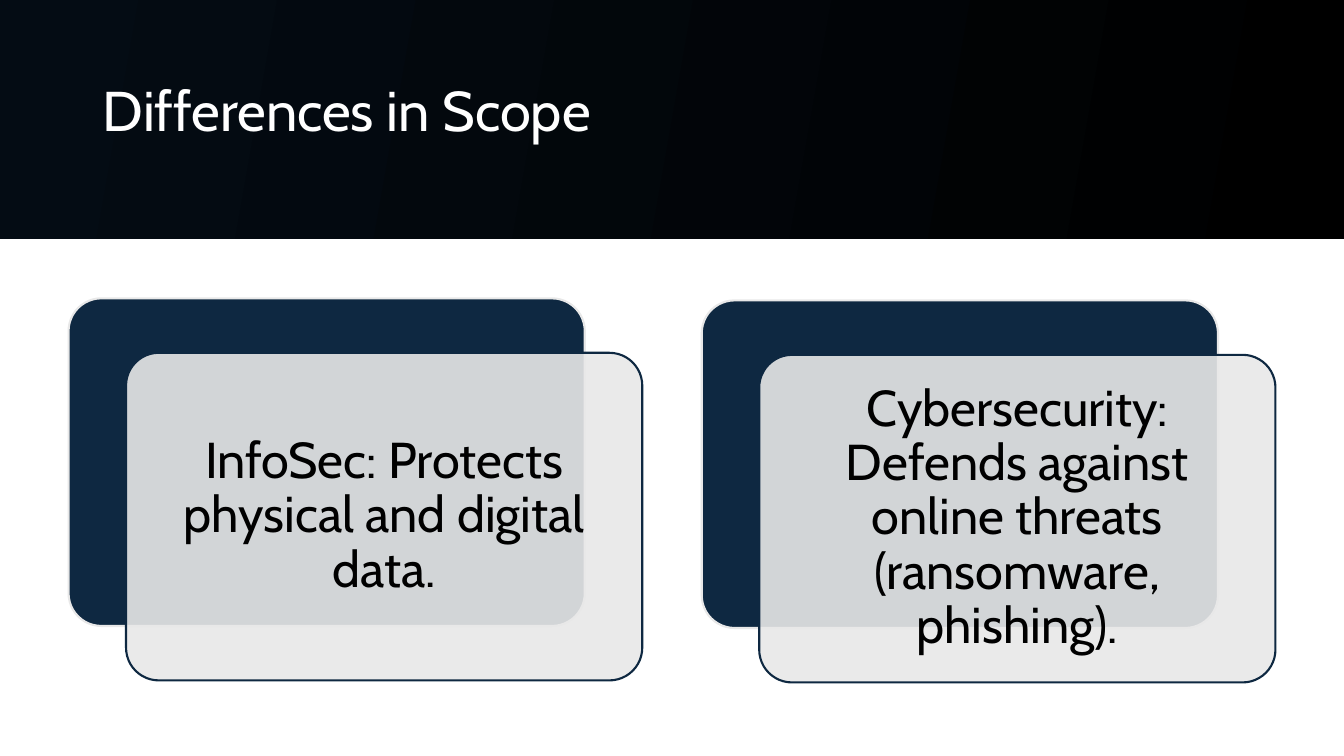
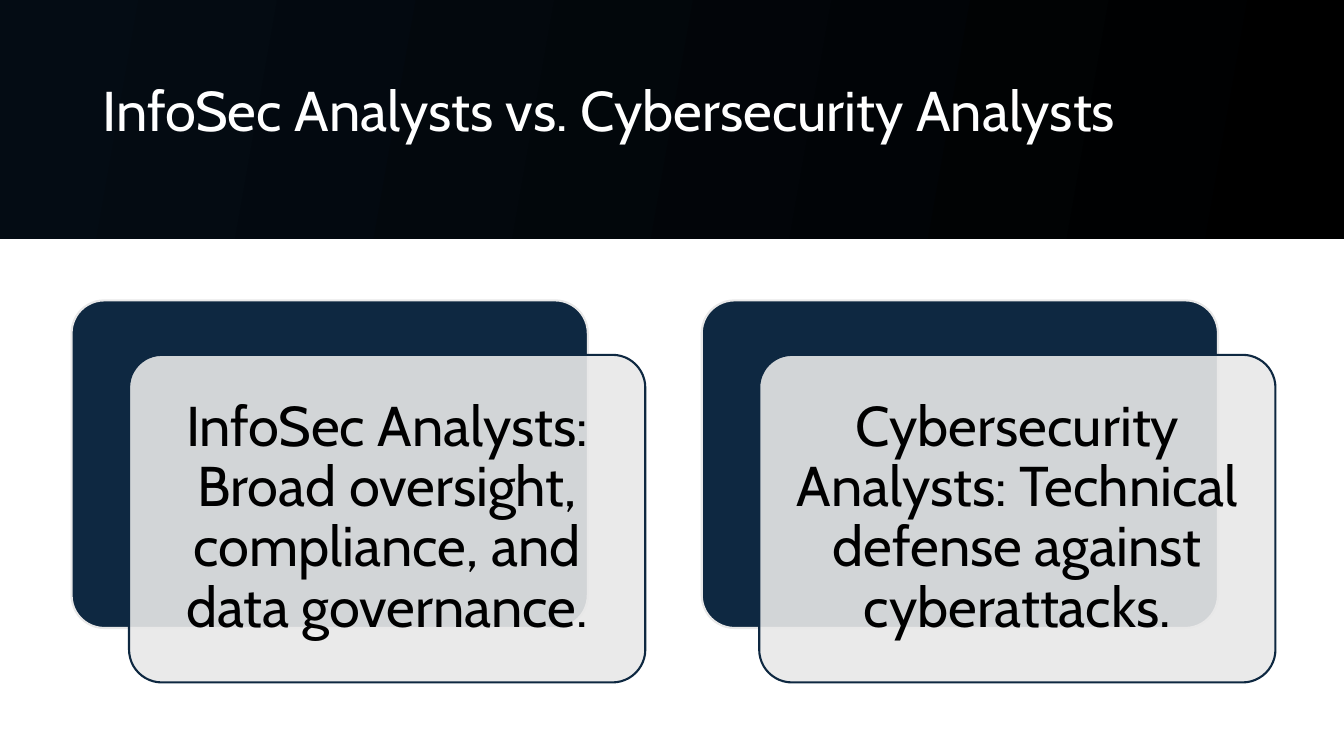
from lxml import etree
from pptx import Presentation
from pptx.dml.color import RGBColor
from pptx.enum.shapes import MSO_SHAPE
from pptx.enum.text import MSO_ANCHOR, MSO_AUTO_SIZE, PP_ALIGN
from pptx.oxml.ns import qn
from pptx.util import Inches, Pt

RECTANGLE = MSO_SHAPE.RECTANGLE
ROUNDED = MSO_SHAPE.ROUNDED_RECTANGLE
MIDDLE = MSO_ANCHOR.MIDDLE
NO_AUTOFIT = MSO_AUTO_SIZE.NONE
LEFT, CENTER = PP_ALIGN.LEFT, PP_ALIGN.CENTER

FONT = "Cabin"
NAVY, PALE, WHITE, BLACK = "0E2841", "E8E8E8", "FFFFFF", "000000"
BAND_LEFT, BAND_RIGHT = "040C14", "000000"

SLIDE_W, SLIDE_H, BAND_H = 13.33, 7.5, 2.37
CARD_W, CARD_H = 5.12, 3.25
OFFSET_X, OFFSET_Y = 0.57, 0.54
CORNER = 0.1
LINE_SPACING = 0.9
FRONT_ALPHA = 90

# Each card is its text and the left and top of its back panel, in inches.
SLIDES = [
    {
        "title": "Differences in Scope",
        "size": 36, "inset": 0.15, "space_after": 15,
        "cards": [
            ("InfoSec: Protects physical and digital data.", 0.68, 2.96),
            ("Cybersecurity: Defends against online threats "
             "(ransomware, phishing).", 6.96, 2.98),
        ],
    },
    {
        "title": "InfoSec Analysts vs. Cybersecurity Analysts",
        "size": 40, "inset": 0.17, "space_after": 17,
        "cards": [
            ("InfoSec Analysts: Broad oversight, compliance, and "
             "data governance.", 0.71, 2.98),
            ("Cybersecurity Analysts: Technical defense against "
             "cyberattacks.", 6.96, 2.98),
        ],
    },
]


def rgb(value):
    return RGBColor.from_string(value)


def write(frame, text, size, color, align):
    frame.text = text
    frame.word_wrap = True
    frame.auto_size = NO_AUTOFIT
    frame.vertical_anchor = MIDDLE
    paragraph = frame.paragraphs[0]
    paragraph.alignment = align
    paragraph.line_spacing = LINE_SPACING
    font = paragraph.runs[0].font
    font.name, font.size, font.color.rgb = FONT, Pt(size), rgb(color)
    return paragraph


def add_header(slide, text):
    """Fill the title and set the dark band behind it."""
    title = slide.shapes.title
    title.left, title.top = Inches(0.92), Inches(0.4)
    title.width, title.height = Inches(11.5), Inches(1.45)
    write(title.text_frame, text, 40, WHITE, LEFT)

    band = slide.shapes.add_shape(
        RECTANGLE, 0, 0, Inches(SLIDE_W), Inches(BAND_H))
    band.shadow.inherit = False
    band.line.fill.background()
    band.fill.gradient()
    band.fill.gradient_angle = 350
    for stop, color in zip(band.fill.gradient_stops, (BAND_LEFT, BAND_RIGHT)):
        stop.color.rgb = rgb(color)
    title.element.addprevious(band.element)


def add_panel(slide, left, top, fill, outline):
    panel = slide.shapes.add_shape(
        ROUNDED, Inches(left), Inches(top), Inches(CARD_W), Inches(CARD_H))
    panel.adjustments[0] = CORNER
    panel.shadow.inherit = False
    panel.fill.solid()
    panel.fill.fore_color.rgb = rgb(fill)
    panel.line.color.rgb = rgb(outline)
    panel.line.width = Pt(1.5)
    return panel


def set_alpha(panel, percent):
    color = panel.element.spPr.find(qn("a:solidFill"))[0]
    etree.SubElement(color, qn("a:alpha")).set("val", str(percent * 1000))


def add_card(slide, content, text, left, top):
    """Add a navy panel with a translucent text panel offset over it."""
    add_panel(slide, left, top, NAVY, PALE)
    front = add_panel(slide, left + OFFSET_X, top + OFFSET_Y, PALE, NAVY)
    set_alpha(front, FRONT_ALPHA)
    frame = front.text_frame
    frame.margin_left = frame.margin_right = Inches(content["inset"])
    frame.margin_top = frame.margin_bottom = Inches(content["inset"])
    paragraph = write(frame, text, content["size"], BLACK, CENTER)
    paragraph.space_after = Pt(content["space_after"])


def main():
    deck = Presentation()
    deck.slide_width, deck.slide_height = Inches(SLIDE_W), Inches(SLIDE_H)
    title_only = deck.slide_layouts[5]
    for content in SLIDES:
        slide = deck.slides.add_slide(title_only)
        add_header(slide, content["title"])
        for text, left, top in content["cards"]:
            add_card(slide, content, text, left, top)
    deck.save("out.pptx")


if __name__ == "__main__":
    main()
